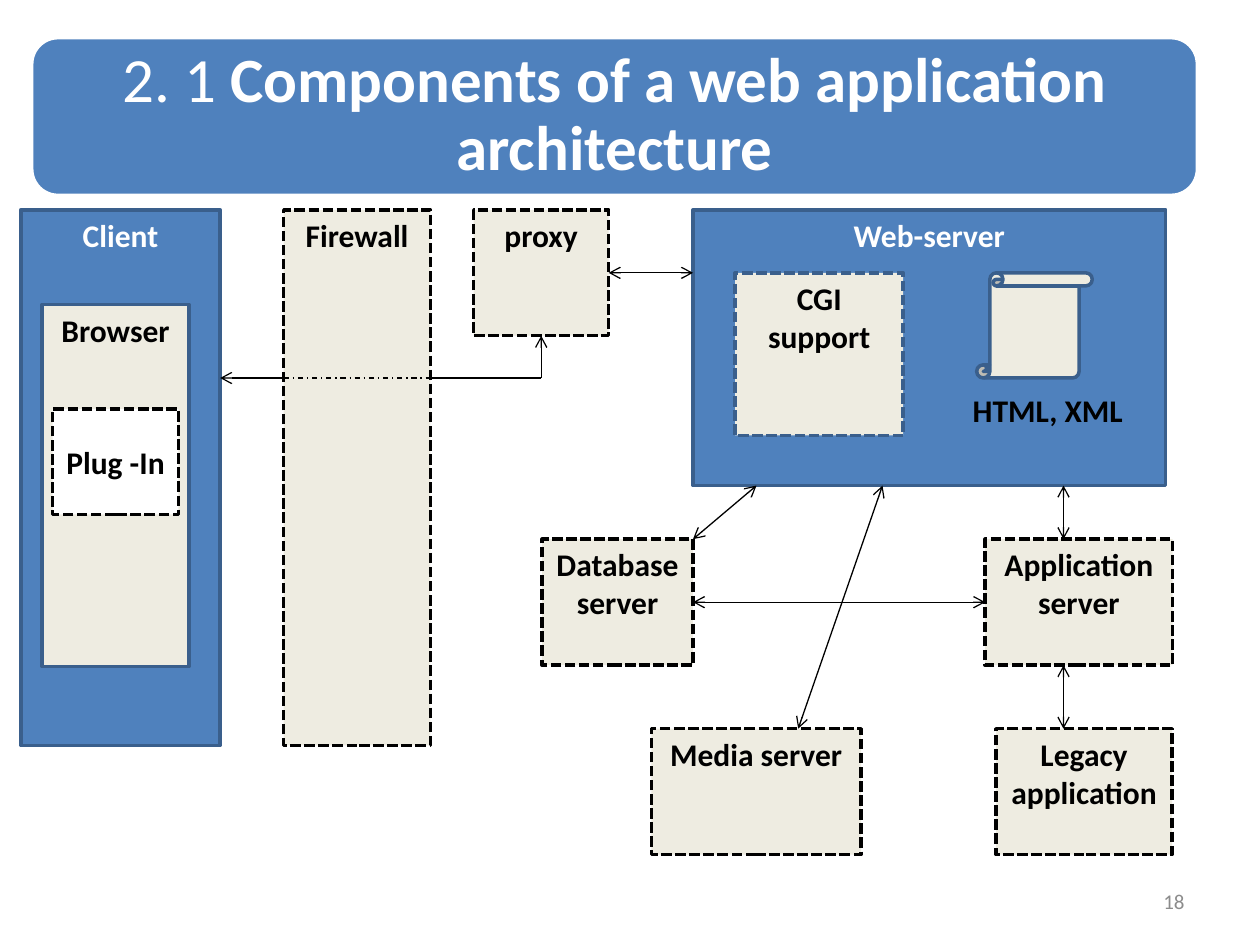
from lxml import etree
from pptx import Presentation
from pptx.dml.color import RGBColor
from pptx.enum import dml, shapes, text
from pptx.oxml import ns
from pptx.util import Cm, Pt

BLUE = RGBColor(0x4F, 0x81, 0xBD)
DARK_BLUE = RGBColor(0x3A, 0x5F, 0x8C)
CREAM = RGBColor(0xEE, 0xEC, 0xE1)
WHITE = RGBColor(0xFF, 0xFF, 0xFF)
BLACK = RGBColor(0, 0, 0)
GRAY = RGBColor(0x8C, 0x8C, 0x8C)

RECT = shapes.MSO_SHAPE.RECTANGLE
DASH = dml.MSO_LINE.SQUARE_DOT
CENTER = text.PP_ALIGN.CENTER
TOP, MIDDLE = text.MSO_ANCHOR.TOP, text.MSO_ANCHOR.MIDDLE
TOP_SIDE, LEFT_SIDE, BOTTOM_SIDE, RIGHT_SIDE = range(4)


def write_text(shape, runs, size=18, color=BLACK, align=CENTER, anchor=TOP,
               inset=None, spacing=None):
    frame = shape.text_frame
    frame.word_wrap = True
    frame.vertical_anchor = anchor
    if inset is not None:
        frame.margin_left = frame.margin_right = Cm(inset)
        frame.margin_top = frame.margin_bottom = Cm(inset)
    paragraph = frame.paragraphs[0]
    paragraph.alignment = align
    if spacing:
        paragraph.line_spacing = spacing
    for words, bold in runs:
        run = paragraph.add_run()
        run.text = words
        run.font.name = "Calibri"
        run.font.size = Pt(size)
        run.font.bold = bold
        run.font.color.rgb = color


def add_label(slide, box, words, bold=True, **options):
    label = slide.shapes.add_textbox(*map(Cm, box))
    write_text(label, [(words, bold)], **options)


def add_box(slide, box, words="", kind=RECT, fill=CREAM, line=BLACK, dash=DASH,
            **options):
    shape = slide.shapes.add_shape(kind, *map(Cm, box))
    shape.shadow.inherit = False
    shape.fill.solid()
    shape.fill.fore_color.rgb = fill
    shape.line.color.rgb = line
    shape.line.width = Pt(2)
    if dash:
        shape.line.dash_style = dash
    if words:
        write_text(shape, [(words, True)], **options)
    return shape


def add_line(slide, start, end, heads=("headEnd", "tailEnd"), dash=None,
             begin_at=None, end_at=None):
    connector = slide.shapes.add_connector(
        shapes.MSO_CONNECTOR.STRAIGHT, *map(Cm, start + end))
    if begin_at:
        connector.begin_connect(*begin_at)
    if end_at:
        connector.end_connect(*end_at)
    connector.line.color.rgb = BLACK
    connector.line.width = Pt(0.75)
    if dash:
        connector.line.dash_style = dash
    outline = connector.line._get_or_add_ln()
    for head in heads:
        etree.SubElement(outline, ns.qn(f"a:{head}"), type="arrow")
    etree.SubElement(connector._element.spPr, ns.qn("a:effectLst"))


def add_title(slide, box):
    title = add_box(slide, box, kind=shapes.MSO_SHAPE.ROUNDED_RECTANGLE,
                    fill=BLUE, line=WHITE, dash=None)
    write_text(title, [("2. 1 ", False),
                       ("Components of a web application architecture", True)],
               size=36, color=WHITE, anchor=MIDDLE, inset=0.38, spacing=0.9)


def add_client(slide, box):
    left, top, width, height = box
    add_box(slide, box, "Client", fill=BLUE, line=DARK_BLUE, dash=None, color=WHITE)
    add_box(slide, (left + 0.43, top + 1.91, 2.96, 7.3), "Browser",
            line=DARK_BLUE, dash=None)
    add_box(slide, (left + 0.64, top + 4.02, 2.54, 2.12), "Plug -In",
            fill=WHITE, anchor=MIDDLE)


def add_web_server(slide, box):
    left, top, width, height = box
    add_box(slide, box, "Web-server", fill=BLUE, line=DARK_BLUE, dash=None, color=WHITE)
    add_box(slide, (left + 5.72, top + 1.27, 2.33, 2.12),
            kind=shapes.MSO_SHAPE.VERTICAL_SCROLL, line=DARK_BLUE, dash=None)
    add_label(slide, (left + 5.39, top + 3.53, 4.12, 1.03), "HTML, XML",
              align=text.PP_ALIGN.LEFT)
    add_box(slide, (left + 0.85, top + 1.27, 3.39, 3.28), "CGI support",
            line=DARK_BLUE)


def add_proxy_route(slide, client_edge, firewall_box, proxy, proxy_box, level):
    firewall_left = firewall_box[0]
    firewall_right = firewall_left + firewall_box[2]
    proxy_middle = proxy_box[0] + proxy_box[2] / 2
    proxy_bottom = proxy_box[1] + proxy_box[3]
    add_line(slide, (firewall_left, level), (client_edge, level), heads=("tailEnd",))
    add_line(slide, (firewall_left, level), (firewall_right, level), heads=(),
             dash=dml.MSO_LINE.DASH_DOT)
    add_line(slide, (firewall_right, level), (proxy_middle, level), heads=())
    add_line(slide, (proxy_middle, level), (proxy_middle, proxy_bottom),
             heads=("tailEnd",), end_at=(proxy, BOTTOM_SIDE))


def add_back_end(slide, box, web_bottom):
    left, top, width, height = box
    server_height = 2.54
    lower = top + height - server_height
    database = add_box(slide, (left, top, 3.04, server_height), "Database server")
    application = add_box(slide, (left + 8.93, top, 3.78, server_height),
                          "Application server")
    add_box(slide, (left + 9.15, lower, 3.55, server_height), "Legacy application")
    add_box(slide, (left + 2.2, lower, 4.23, server_height), "Media server")

    application_x = left + 10.51
    add_line(slide, (application_x, web_bottom), (application_x, top))
    add_line(slide, (application_x, top + server_height), (application_x, lower))
    add_line(slide, (left + 6.86, web_bottom), (left + 5.16, lower))
    add_line(slide, (left + 4.32, web_bottom), (left + 3.04, top))
    middle = top + server_height / 2
    add_line(slide, (left + 3.04, middle), (left + 8.93, middle),
             begin_at=(database, RIGHT_SIDE), end_at=(application, LEFT_SIDE))


def main():
    presentation = Presentation()
    presentation.slide_width = Cm(25.4)
    presentation.slide_height = Cm(19.05)
    slide = presentation.slides.add_slide(presentation.slide_layouts[6])

    top = 4.23
    client_box = (0.42, top, 4.02, 10.8)
    firewall_box = (5.72, top, 2.96, 10.8)
    proxy_box = (9.55, top, 2.72, 2.54)
    web_box = (13.97, top, 9.53, 5.56)

    add_title(slide, (0.64, 0.76, 23.5, 3.18))
    add_label(slide, (18.2, 17.66, 5.93, 1.01), "18", bold=False, size=12,
              color=GRAY, align=text.PP_ALIGN.RIGHT, anchor=MIDDLE)
    add_client(slide, client_box)
    add_box(slide, firewall_box, "Firewall")
    proxy = add_box(slide, proxy_box, "proxy")
    add_web_server(slide, web_box)
    add_back_end(slide, (10.93, 10.87, 12.71, 6.36), web_box[1] + web_box[3])
    add_proxy_route(slide, client_box[0] + client_box[2], firewall_box,
                    proxy, proxy_box, 7.62)
    proxy_level = top + proxy_box[3] / 2
    add_line(slide, (proxy_box[0] + proxy_box[2], proxy_level),
             (web_box[0], proxy_level), begin_at=(proxy, RIGHT_SIDE))
    presentation.save("out.pptx")


if __name__ == "__main__":
    main()
